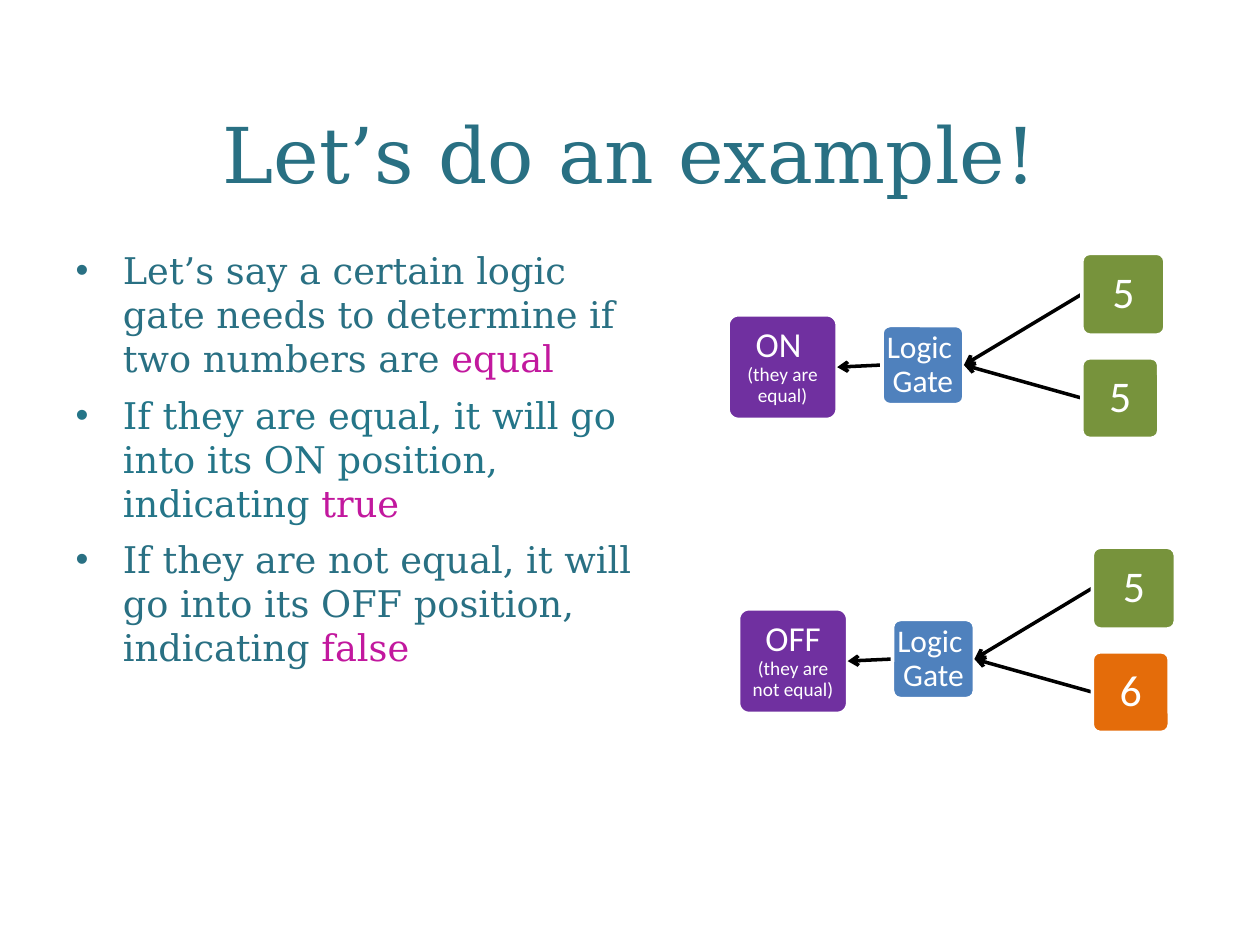
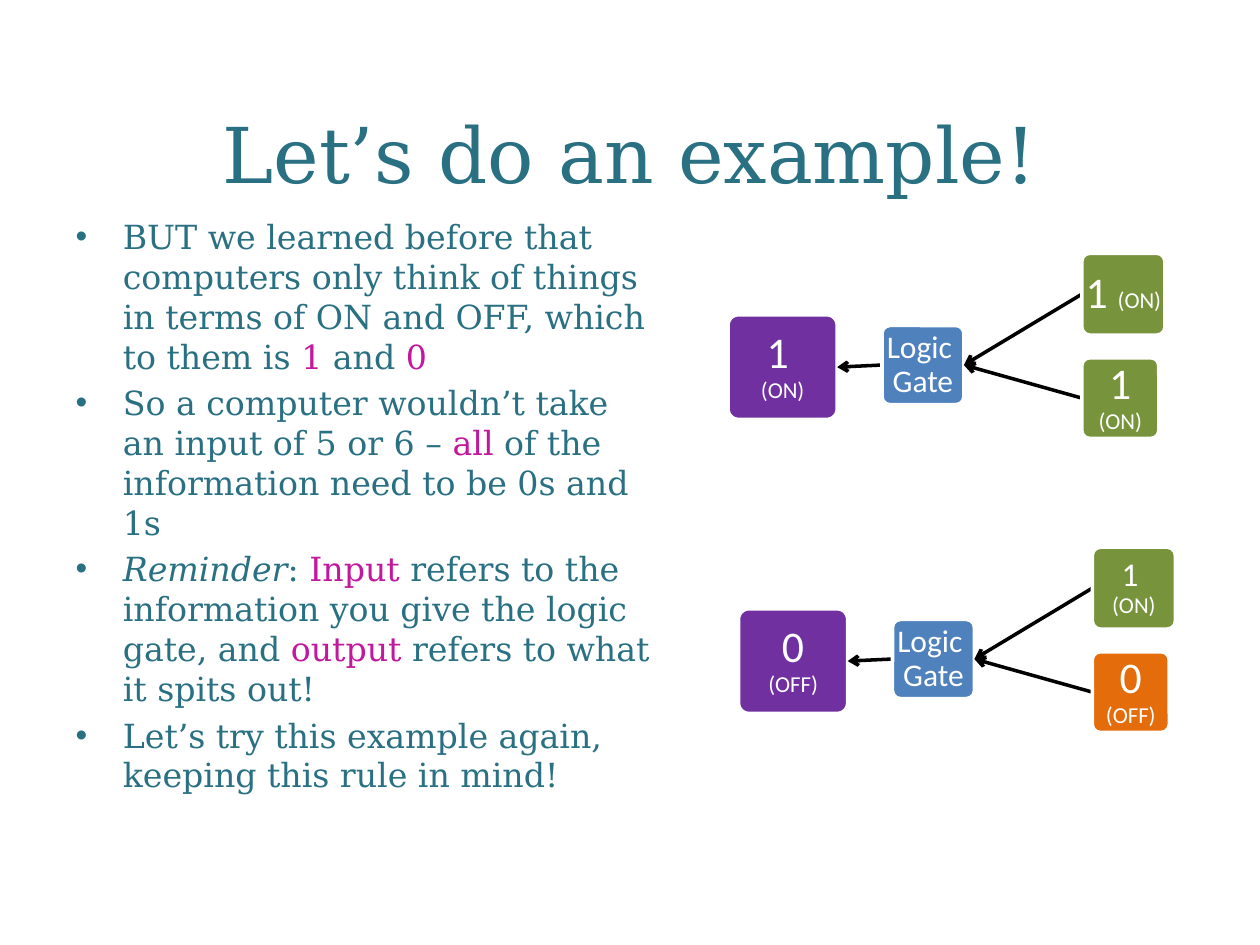
import dataclasses
import typing

import pptx
import pptx.dml.color
import pptx.enum.shapes
import pptx.enum.text
import pptx.oxml
import pptx.oxml.ns
import pptx.util

Pt = pptx.util.Pt
RGB = pptx.dml.color.RGBColor

TEAL = RGB(0x29, 0x70, 0x83)
BRIGHT = RGB(0x24, 0x75, 0x88)
PINK = RGB(0xC2, 0x18, 0x9E)
PURPLE = RGB(0x70, 0x30, 0xA0)
BLUE = RGB(0x4F, 0x81, 0xBD)
GREEN = RGB(0x77, 0x93, 0x3C)
ORANGE = RGB(0xE4, 0x6C, 0x0A)
WHITE = RGB(0xFF, 0xFF, 0xFF)
BLACK = RGB(0x00, 0x00, 0x00)

SERIF = "DejaVu Serif"
SANS = "Calibri"
TITLE = "Let’s do an example!"
STEP_X, STEP_Y = 6, 168
LEFT, RIGHT = 1, 3


@dataclasses.dataclass(frozen=True)
class Span:
    text: str
    size: float = 0
    color: RGB = TEAL
    slant: bool = False


Lines = tuple[tuple[Span, ...], ...]


class Place(typing.NamedTuple):
    left: float
    top: float
    width: float
    height: float


@dataclasses.dataclass(frozen=True)
class Box:
    place: Place
    fill: RGB
    lines: Lines


@dataclasses.dataclass(frozen=True)
class Gate:
    result: Lines
    first: Lines
    second: Lines
    tint: RGB


@dataclasses.dataclass(frozen=True)
class Page:
    top: float
    size: float
    gap: float
    points: Lines
    gates: tuple[Gate, ...]


RESULT = Place(416, 179.9, 62.4, 59.8)
LOGIC = Place(504, 186, 46.8, 45.2)
FIRST = Place(618.2, 144.7, 47.5, 46.8)
SECOND = Place(618.2, 204.5, 44, 46)


def label(*rows: tuple[str, float]) -> Lines:
    return tuple((Span(text, size, WHITE),) for text, size in rows)


def pink(text: str) -> Span:
    return Span(text, color=PINK)


def write(para: typing.Any, spans: tuple[Span, ...], font: str, size: float) -> None:
    for span in spans:
        run = para.add_run()
        run.text = span.text
        run.font.name = font
        run.font.size = Pt(span.size or size)
        run.font.color.rgb = span.color
        if span.slant:
            run.font.italic = True


def fill_text(frame: typing.Any, lines: Lines, font: str, size: float = 0) -> list:
    paras = [frame.paragraphs[0]] + [frame.add_paragraph() for _ in lines[1:]]
    for para, spans in zip(paras, lines):
        write(para, spans, font, size)
    return paras


def move(shape: typing.Any, place: Place) -> None:
    shape.left, shape.top, shape.width, shape.height = map(Pt, place)


def draw_box(slide: typing.Any, box: Box, row: int) -> typing.Any:
    left, top, width, height = box.place
    shape = slide.shapes.add_shape(
        pptx.enum.shapes.MSO_SHAPE.ROUNDED_RECTANGLE,
        Pt(left + row * STEP_X), Pt(top + row * STEP_Y), Pt(width), Pt(height))
    shape.adjustments[0] = 0.1
    shape.shadow.inherit = False
    shape.fill.solid()
    shape.fill.fore_color.rgb = box.fill
    shape.line.color.rgb = WHITE
    shape.line.width = Pt(2)
    frame = shape.text_frame
    frame.word_wrap = True
    frame.vertical_anchor = pptx.enum.text.MSO_ANCHOR.MIDDLE
    frame.margin_left = frame.margin_right = Pt(0.72)
    frame.margin_top = frame.margin_bottom = Pt(0.72)
    for para in fill_text(frame, box.lines, SANS):
        para.alignment = pptx.enum.text.PP_ALIGN.CENTER
        para.line_spacing = 0.9
    return shape


def start_link(slide: typing.Any, source: typing.Any) -> typing.Any:
    link = slide.shapes.add_connector(
        pptx.enum.shapes.MSO_CONNECTOR.STRAIGHT, Pt(0), Pt(0), Pt(0), Pt(0))
    link.begin_connect(source, RIGHT)
    link.line.color.rgb = BLACK
    link.line.width = Pt(2)
    props = link._element.spPr
    head = pptx.oxml.parse_xml(
        f'<a:headEnd {pptx.oxml.ns.nsdecls("a")} type="arrow"/>')
    link.line._get_or_add_ln().append(head)
    props.append(pptx.oxml.parse_xml(f'<a:effectLst {pptx.oxml.ns.nsdecls("a")}/>'))
    return link


def link_box(slide: typing.Any, source: typing.Any, box: Box, row: int) -> typing.Any:
    link = start_link(slide, source)
    shape = draw_box(slide, box, row)
    link.end_connect(shape, LEFT)
    return shape


def draw_gate(slide: typing.Any, gate: Gate, row: int) -> None:
    result = draw_box(slide, Box(RESULT, PURPLE, gate.result), row)
    name = label(("Logic ", 18), ("Gate", 18))
    logic = link_box(slide, result, Box(LOGIC, BLUE, name), row)
    link_box(slide, logic, Box(FIRST, GREEN, gate.first), row)
    link_box(slide, logic, Box(SECOND, gate.tint, gate.second), row)


def draw_page(deck: typing.Any, page: Page) -> None:
    slide = deck.slides.add_slide(deck.slide_layouts[1])
    title, body = slide.placeholders
    move(title, Place(36, 42, 648, 90))
    title.text_frame.text = TITLE
    font = title.text_frame.paragraphs[0].runs[0].font
    font.name, font.size, font.color.rgb = SERIF, Pt(44), TEAL

    move(body, Place(36, page.top, 348, 540 - page.top))
    body.text_frame.auto_size = pptx.enum.text.MSO_AUTO_SIZE.NONE
    paras = fill_text(body.text_frame, page.points, SERIF, page.size)
    for index, para in enumerate(paras):
        para.font.size = Pt(page.size)
        para.font.color.rgb = TEAL
        para.space_before = Pt(page.gap if index else 0)

    for row, gate in enumerate(page.gates):
        draw_gate(slide, gate, row)


FIVE = label(("5", 25))
ON = ("(ON)", 13)
OFF = ("(OFF)", 13)

PAGES = (
    Page(138, 21, 7, (
        (Span("Let’s say a certain logic gate needs to determine if two numbers are "),
         pink("equal")),
        (Span("If they are equal, it will go into its ON position, indicating ",
              color=BRIGHT), pink("true")),
        (Span("If they are not equal, it will go into its OFF position, indicating "),
         pink("false")),
    ), (
        Gate(label(("ON ", 20), ("(they are equal)", 11)), FIVE, FIVE, GREEN),
        Gate(label(("OFF", 20), ("(they are not equal)", 11)), FIVE,
             label(("6", 25)), ORANGE),
    )),
    Page(120, 19, 3.8, (
        (Span("BUT we learned before that computers only think of things in terms "
              "of ON and OFF, which to them is "),
         pink("1"), Span(" and "), pink("0")),
        (Span("So a computer wouldn’t take an input of 5 or 6 – "), pink("all"),
         Span(" of the information need to be 0s and 1s")),
        (Span("Reminder", slant=True), Span(": "), pink("Input"),
         Span(" refers to the information you give the logic gate, and "),
         pink("output"), Span(" refers to what it spits out!")),
        (Span("Let’s try this example again, keeping this rule in mind!"),),
    ), (
        Gate(label(("1 ", 25), ON),
             ((Span("1 ", 25, WHITE), Span(*ON, WHITE)),),
             label(("1", 25), ON), GREEN),
        Gate(label(("0", 25), OFF), label(("1 ", 19), ON),
             ((Span("0 ", 25, WHITE), Span(*OFF, WHITE)),), ORANGE),
    )),
)


def main() -> None:
    deck = pptx.Presentation()
    deck.slide_width, deck.slide_height = Pt(720), Pt(540)
    for page in PAGES:
        draw_page(deck, page)
    deck.save("out.pptx")


if __name__ == "__main__":
    main()
